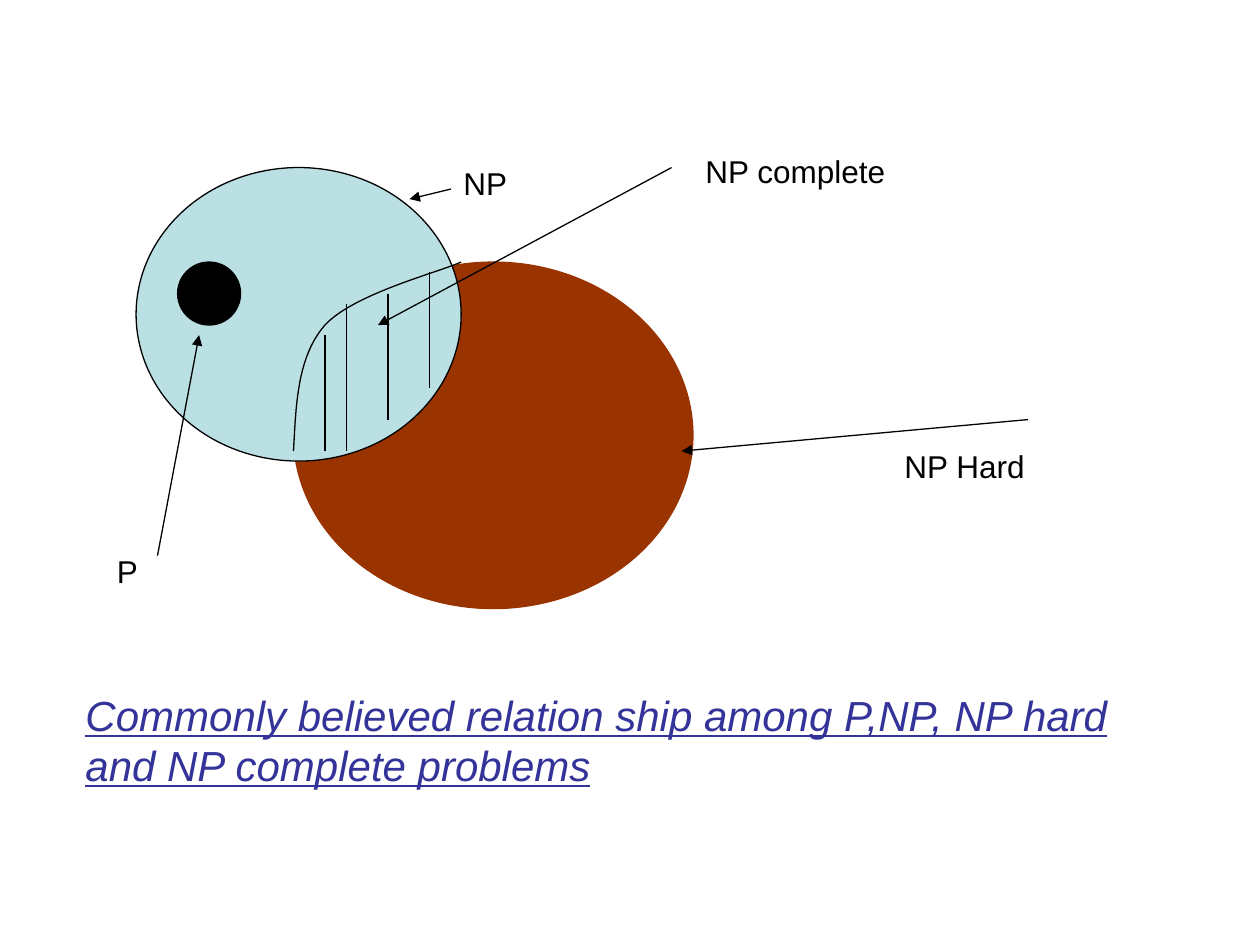
import pptx
import pptx.dml.color
import pptx.enum.shapes
import pptx.enum.text
import pptx.oxml
import pptx.oxml.ns
import pptx.util
from pptx.util import Inches

COLORS = {"hard": "993300", "np": "BBE0E3", "ink": "000000", "caption": "333399"}
FONT = "Arial"


def rgb(name):
    """Return the named colour."""
    return pptx.dml.color.RGBColor.from_string(COLORS[name])


def set_line(shape, color="ink"):
    """Give a shape or connector its thin outline."""
    shape.line.color.rgb = rgb(color)
    shape.line.width = pptx.util.Pt(0.75)


def add_circle(slide, left, top, width, height, fill, line):
    """Add a filled ellipse."""
    shape = slide.shapes.add_shape(
        pptx.enum.shapes.MSO_SHAPE.OVAL,
        Inches(left), Inches(top), Inches(width), Inches(height))
    shape.shadow.inherit = False
    shape.fill.solid()
    shape.fill.fore_color.rgb = rgb(fill)
    set_line(shape, line)


def add_line(slide, start, end, arrow=False):
    """Add a straight line, with an arrowhead at its end if asked."""
    connector = slide.shapes.add_connector(
        pptx.enum.shapes.MSO_CONNECTOR.STRAIGHT,
        *(Inches(value) for value in (*start, *end)))
    set_line(connector)
    if arrow:
        pptx.oxml.ns.qn("a:tailEnd")
        head = pptx.oxml.parse_xml(
            f'<a:tailEnd {pptx.oxml.ns.nsdecls("a")} type="triangle"/>')
        connector.line._get_or_add_ln().append(head)
    properties = connector._element.spPr
    properties.append(pptx.oxml.parse_xml(
        f'<a:effectLst {pptx.oxml.ns.nsdecls("a")}/>'))


def add_text(slide, text, left, top, width, height, size=18, color="ink", emphasis=None):
    """Add a wrapped text box with one paragraph."""
    box = slide.shapes.add_textbox(
        Inches(left), Inches(top), Inches(width), Inches(height))
    frame = box.text_frame
    frame.word_wrap = True
    frame.auto_size = pptx.enum.text.MSO_AUTO_SIZE.SHAPE_TO_FIT_TEXT
    frame.text = text
    font = frame.paragraphs[0].runs[0].font
    font.name = FONT
    font.size = pptx.util.Pt(size)
    font.color.rgb = rgb(color)
    font.italic = font.underline = emphasis


def bezier(controls, steps=20):
    """Return points along a cubic Bezier curve, without its start."""
    points = []
    for step in range(1, steps + 1):
        t = step / steps
        weights = ((1 - t) ** 3, 3 * t * (1 - t) ** 2, 3 * t ** 2 * (1 - t), t ** 3)
        points.append(tuple(
            sum(weight * point[axis] for weight, point in zip(weights, controls))
            for axis in (0, 1)))
    return points


def add_boundary(slide, controls):
    """Add the open curve that bounds the NP complete region."""
    points = bezier(controls[:4]) + bezier(controls[3:])
    builder = slide.shapes.build_freeform(
        *(Inches(value) for value in controls[0]), scale=1.0)
    builder.add_line_segments(
        [(Inches(x), Inches(y)) for x, y in points], close=False)
    curve = builder.convert_to_shape()
    curve.shadow.inherit = False
    curve.fill.background()
    set_line(curve)


def add_diagram(slide, left, top):
    """Draw the complexity classes, their hatching, arrows and labels."""
    def place(x, y):
        return left + x, top + y

    for x, y, width, height, fill, line in (
            (1.25, 0.75, 3.17, 2.75, "hard", "hard"),
            (0, 0, 2.58, 2.33, "np", "ink"),
            (0.33, 0.75, 0.5, 0.5, "ink", "ink")):
        add_circle(slide, *place(x, y), width, height, fill, line)

    add_boundary(slide, [place(x, y) for x, y in (
        (1.25, 2.25), (1.27, 1.88), (1.28, 1.5), (1.5, 1.25),
        (1.73, 1), (2.41, 0.83), (2.58, 0.75))])

    for x, upper, lower in ((1.5, 1.33, 2.25), (1.67, 1.08, 2.25),
                            (2, 1, 2), (2.33, 0.83, 1.75)):
        add_line(slide, place(x, upper), place(x, lower))

    for text, x, y, width, start, end in (
            ("P", -0.25, 3, 0.75, (0.17, 3.08), (0.5, 1.33)),
            ("NP", 2.5, -0.08, 1, (2.5, 0.17), (2.17, 0.25)),
            ("NP complete", 4.42, -0.17, 1.92, (4.25, 0), (1.92, 1.25)),
            ("NP Hard", 6, 2.17, 1.83, (7.08, 2), (4.33, 2.25))):
        add_line(slide, place(*start), place(*end), arrow=True)
        add_text(slide, text, *place(x, y), width, 0.4)


def add_caption(slide, left, top, width, height):
    """Write the caption below the diagram."""
    add_text(
        slide,
        "Commonly believed relation ship among P,NP, NP hard and NP complete problems",
        left, top, width, height, size=24, color="caption", emphasis=True)


def main():
    """Build and save the presentation."""
    presentation = pptx.Presentation()
    presentation.slide_width = Inches(10)
    presentation.slide_height = Inches(7.5)
    slide = presentation.slides.add_slide(presentation.slide_layouts[6])
    add_diagram(slide, 1.08, 1.33)
    add_caption(slide, 0.58, 5.42, 8.58, 0.9)
    presentation.save("out.pptx")


if __name__ == "__main__":
    main()
